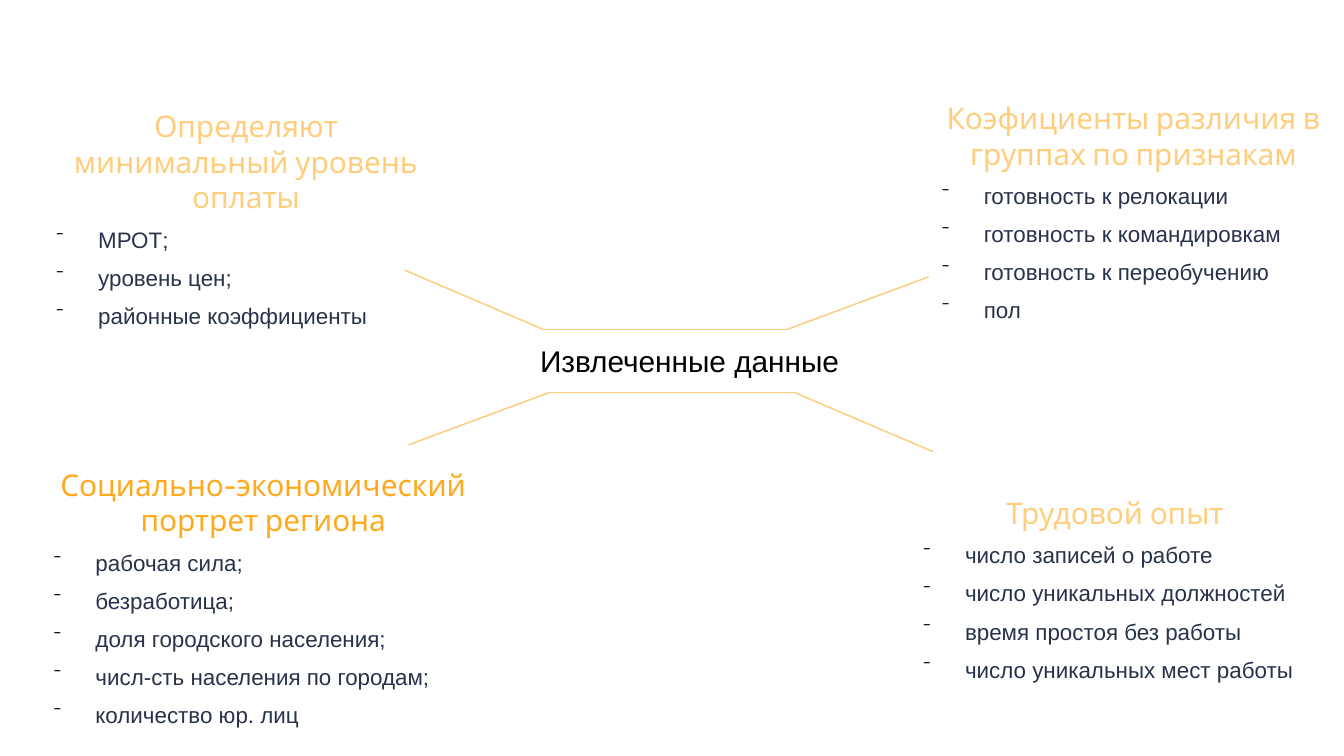
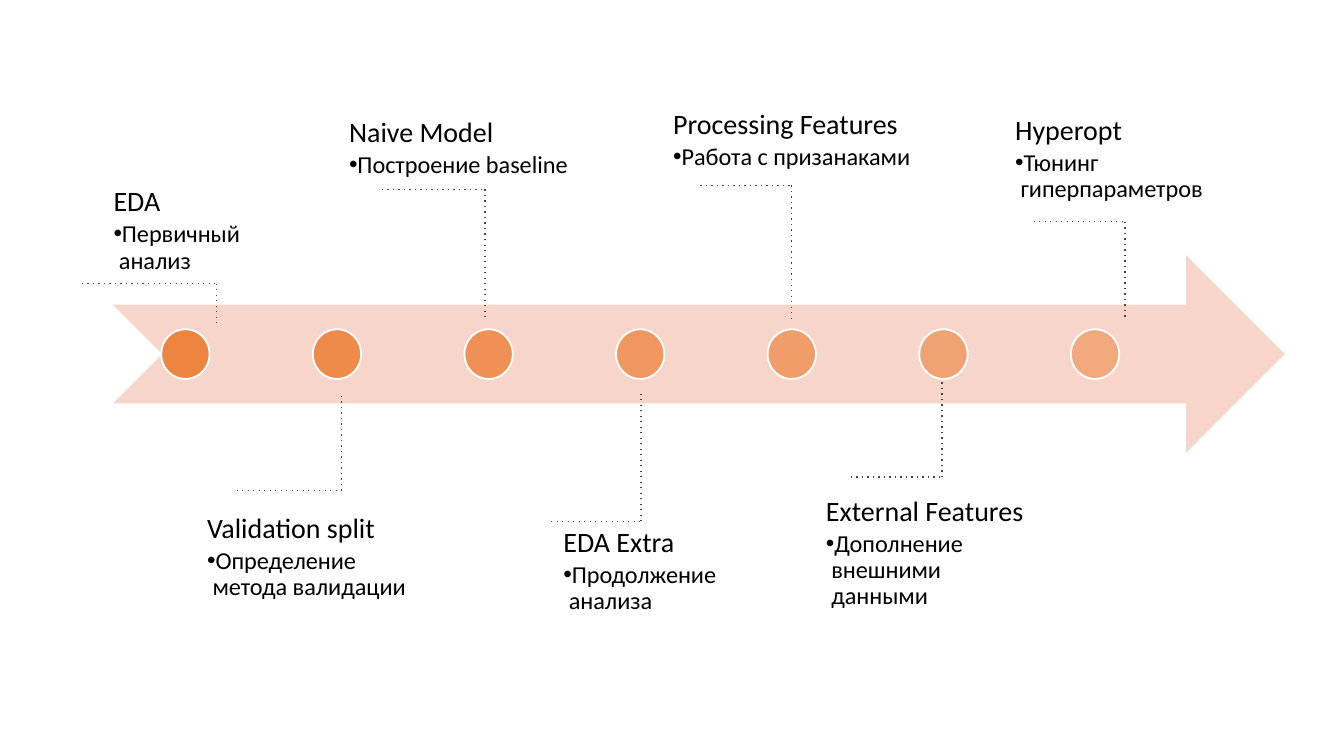
"""Build two slides: the extracted data groups and the modelling timeline."""
from dataclasses import dataclass
from itertools import pairwise

from lxml.etree import SubElement
from pptx import Presentation
from pptx.dml.color import RGBColor
from pptx.enum.shapes import MSO_CONNECTOR, MSO_SHAPE
from pptx.enum.text import MSO_ANCHOR, MSO_AUTO_SIZE, PP_ALIGN
from pptx.oxml.ns import qn
from pptx.util import Emu, Inches, Pt

COLUMNS = 100
SLIDE_WIDTH, SLIDE_HEIGHT = Inches(10), Inches(5.625)
CELL = SLIDE_WIDTH / COLUMNS

BLACK, WHITE, NAVY = "000000", "FFFFFF", "28324A"
PALE_GOLD, GOLD, BRACKET_GOLD = "FFCE7D", "FFAA1E", "FDCA77"
ARROW_PINK, DOT_ORANGE, LEADER_GREY = "F7D5CB", "ED7D31", "434343"


@dataclass(frozen=True)
class Box:
    """A rectangle in grid cells."""

    left: float
    top: float
    width: float
    height: float


@dataclass(frozen=True)
class TextStyle:
    """Font and spacing of a paragraph, with lengths in points."""

    font: str
    size: float
    color: str
    before: float | None = None
    line_spacing: float | None = None
    align: PP_ALIGN | None = None


@dataclass(frozen=True)
class Bullet:
    """A bullet character with its indents in grid cells."""

    character: str
    margin: float
    indent: float


@dataclass(frozen=True)
class DataGroup:
    """A heading with its list of extracted features."""

    box: Box
    heading: str
    items: tuple[str, ...]
    color: str = PALE_GOLD


@dataclass(frozen=True)
class Milestone:
    """A timeline stage: its label and the leader from shelf to arrow."""

    box: Box
    name: str
    detail: str
    shelf_left: float
    shelf_right: float
    shelf_row: float
    arrow_row: float


FEATURE_STYLE = TextStyle("Arial", 12, NAVY, before=6)
CENTER_STYLE = TextStyle("Arial", 16, BLACK)
STAGE_STYLE = TextStyle("Calibri", 15, BLACK, line_spacing=0.9)
DETAIL_STYLE = TextStyle("Calibri", 13, BLACK, before=2, line_spacing=0.9)
FEATURE_BULLET = Bullet("⁻", 3.12, -3.12)
DETAIL_BULLET = Bullet("•", 0.4, -0.9)

DATA_GROUPS = (
    DataGroup(Box(3.2, 7.5, 30.2, 15.3), "Определяют минимальный уровень оплаты",
              ("МРОТ;", "уровень цен;", "районные коэффициенты")),
    DataGroup(Box(3, 34.2, 33.2, 21), "Социально-экономический портрет региона",
              ("рабочая сила;", "безработица;", "доля городского населения;",
               "числ-сть населения по городам;", "количество юр. лиц"), GOLD),
    DataGroup(Box(69.1, 6.9, 30.5, 17.8), "Коэфициенты различия в группах по признакам",
              ("готовность к релокации", "готовность к командировкам",
               "готовность к переобучению", "пол")),
    DataGroup(Box(67.7, 36.3, 30.5, 15.1), "Трудовой опыт",
              ("число записей о работе", "число уникальных должностей",
               "время простоя без работы", "число уникальных мест работы")),
)
BRACKETS = (
    ((30.1, 20.1), (40.4, 24.5), (58.6, 24.5), (69.1, 20.6)),
    ((30.4, 33.1), (40.9, 29.2), (59.1, 29.2), (69.4, 33.6)),
)
CENTER_BOX = Box(39.2, 24.5, 32.6, 16.1)

ARROW_BOX = Box(8.4, 19, 87.2, 14.7)
FIRST_DOT = Box(12, 24.5, 3.6, 3.7)
DOT_STEP = 11.28
FIRST_OPACITY, LAST_OPACITY = 90, 50
MILESTONES = (
    Milestone(Box(6.1, 4.7, 14.1, 16.2), "EDA", "Первичный анализ", 6.1, 16.1, 21.1, 24.3),
    Milestone(Box(14.3, 37.8, 17, 14.7), "Validation split", "Определение метода валидации",
              17.6, 25.4, 36.5, 29.4),
    Milestone(Box(25, 5.2, 18.2, 8.6), "Naive Model", "Построение baseline",
              28.4, 36.1, 14.1, 23.6),
    Milestone(Box(39.5, 38.8, 16.2, 14.7), "EDA Extra", "Продолжение анализа",
              41, 47.7, 38.8, 29.3),
    Milestone(Box(49.1, -1.5, 19.6, 14.7), "Processing Features", "Работа с призанаками",
              52.1, 58.9, 13.8, 23.8),
    Milestone(Box(60.7, 36.5, 16.2, 14.7), "External Features", "Дополнение внешними данными",
              63.3, 70.1, 35.5, 28.4),
    Milestone(Box(74.9, 0.9, 15.2, 14.7), "Hyperopt", "Тюнинг гиперпараметров",
              76.9, 83.7, 16.5, 23.6),
)


def cells(count: float) -> Emu:
    """Convert grid cells to a length."""
    return Emu(round(count * CELL))


def place(box: Box) -> tuple[Emu, Emu, Emu, Emu]:
    """Convert a box to left, top, width and height."""
    return cells(box.left), cells(box.top), cells(box.width), cells(box.height)


def rgb(color: str) -> RGBColor:
    """Convert a hex string to a colour."""
    return RGBColor.from_string(color)


def add_bullet(paragraph, bullet: Bullet) -> None:
    """Give a paragraph a black hanging bullet."""
    properties = paragraph._p.get_or_add_pPr()
    properties.set("marL", str(cells(bullet.margin)))
    properties.set("indent", str(cells(bullet.indent)))
    color = SubElement(properties, qn("a:buClr"))
    SubElement(color, qn("a:srgbClr"), val=BLACK)
    SubElement(properties, qn("a:buFont"), typeface="Arial")
    SubElement(properties, qn("a:buChar"), char=bullet.character)


def write(paragraph, text: str, style: TextStyle, bullet: Bullet | None = None) -> None:
    """Fill a paragraph with styled text."""
    paragraph.text = text
    if style.align is not None:
        paragraph.alignment = style.align
    if style.line_spacing is not None:
        paragraph.line_spacing = style.line_spacing
    if style.before is not None:
        paragraph.space_before = Pt(style.before)
    if bullet:
        add_bullet(paragraph, bullet)
    paragraph.font.name = style.font
    paragraph.font.size = Pt(style.size)
    paragraph.font.color.rgb = rgb(style.color)


def add_text_frame(slide, box: Box, inset: float | None = None):
    """Add a wrapping text box and return its frame."""
    frame = slide.shapes.add_textbox(*place(box)).text_frame
    frame.word_wrap = True
    if inset is not None:
        frame.margin_left = frame.margin_right = cells(inset)
        frame.margin_top = frame.margin_bottom = cells(inset)
    return frame


def add_polyline(slide, points, color: str, dash: str | None = None) -> None:
    """Join successive grid points with thin straight connectors."""
    for start, end in pairwise(points):
        connector = slide.shapes.add_connector(
            MSO_CONNECTOR.STRAIGHT, *map(cells, start + end))
        connector.line.color.rgb = rgb(color)
        connector.line.width = Pt(0.75)
        properties = connector._element.spPr
        if dash:
            SubElement(properties.find(qn("a:ln")), qn("a:prstDash"), val=dash)
        SubElement(properties, qn("a:effectLst"))


def add_filled_shape(slide, kind: MSO_SHAPE, box: Box, color: str):
    """Add a preset shape with a solid fill and no outline."""
    shape = slide.shapes.add_shape(kind, *place(box))
    shape.shadow.inherit = False
    shape.fill.solid()
    shape.fill.fore_color.rgb = rgb(color)
    shape.line.fill.background()
    return shape


def add_data_group(slide, group: DataGroup) -> None:
    """Add a centred heading above its bulleted features."""
    frame = add_text_frame(slide, group.box)
    frame.auto_size = MSO_AUTO_SIZE.SHAPE_TO_FIT_TEXT
    heading_style = TextStyle("Cabin", 16, group.color, before=6, align=PP_ALIGN.CENTER)
    write(frame.paragraphs[0], group.heading, heading_style)
    for item in group.items:
        write(frame.add_paragraph(), item, FEATURE_STYLE, FEATURE_BULLET)


def add_dot(slide, index: int) -> None:
    """Add a timeline dot that fades with its index."""
    first = FIRST_DOT
    box = Box(first.left + index * DOT_STEP, first.top, first.width, first.height)
    dot = add_filled_shape(slide, MSO_SHAPE.OVAL, box, DOT_ORANGE)
    fade = (FIRST_OPACITY - LAST_OPACITY) * index / (len(MILESTONES) - 1)
    color = dot._element.spPr.find(qn("a:solidFill")).find(qn("a:srgbClr"))
    SubElement(color, qn("a:alpha"), val=str(round((FIRST_OPACITY - fade) * 1000)))
    dot.line.color.rgb = rgb(WHITE)
    dot.line.width = Pt(1)


def add_milestone_label(slide, milestone: Milestone) -> None:
    """Add the stage name and detail, resting against the leader's side."""
    frame = add_text_frame(slide, milestone.box, inset=0.5)
    above = milestone.shelf_row < milestone.arrow_row
    frame.vertical_anchor = MSO_ANCHOR.BOTTOM if above else MSO_ANCHOR.TOP
    frame._txBody.bodyPr.set("anchorCtr", "1")
    write(frame.paragraphs[0], milestone.name, STAGE_STYLE)
    detail = frame.add_paragraph()
    detail.level = 1
    write(detail, milestone.detail, DETAIL_STYLE, DETAIL_BULLET)


def build_data_slide(slide) -> None:
    """Draw four feature groups around the central label."""
    for bracket in BRACKETS:
        add_polyline(slide, bracket, BRACKET_GOLD)
    for group in DATA_GROUPS:
        add_data_group(slide, group)
    center = add_text_frame(slide, CENTER_BOX, inset=1)
    write(center.paragraphs[0], "Извлеченные данные", CENTER_STYLE)


def build_timeline_slide(slide) -> None:
    """Draw the arrow with its dots, labels and dotted leaders."""
    add_filled_shape(slide, MSO_SHAPE.NOTCHED_RIGHT_ARROW, ARROW_BOX, ARROW_PINK)
    for index, milestone in enumerate(MILESTONES):
        add_milestone_label(slide, milestone)
        add_dot(slide, index)
    for milestone in MILESTONES:
        corner = (milestone.shelf_right, milestone.shelf_row)
        leader = ((milestone.shelf_left, milestone.shelf_row), corner,
                  (milestone.shelf_right, milestone.arrow_row))
        add_polyline(slide, leader, LEADER_GREY, dash="dot")


def main() -> None:
    """Build and save the presentation."""
    presentation = Presentation()
    presentation.slide_width, presentation.slide_height = SLIDE_WIDTH, SLIDE_HEIGHT
    blank_layout = presentation.slide_layouts[6]
    for build in (build_data_slide, build_timeline_slide):
        build(presentation.slides.add_slide(blank_layout))
    presentation.save("out.pptx")


if __name__ == "__main__":
    main()
